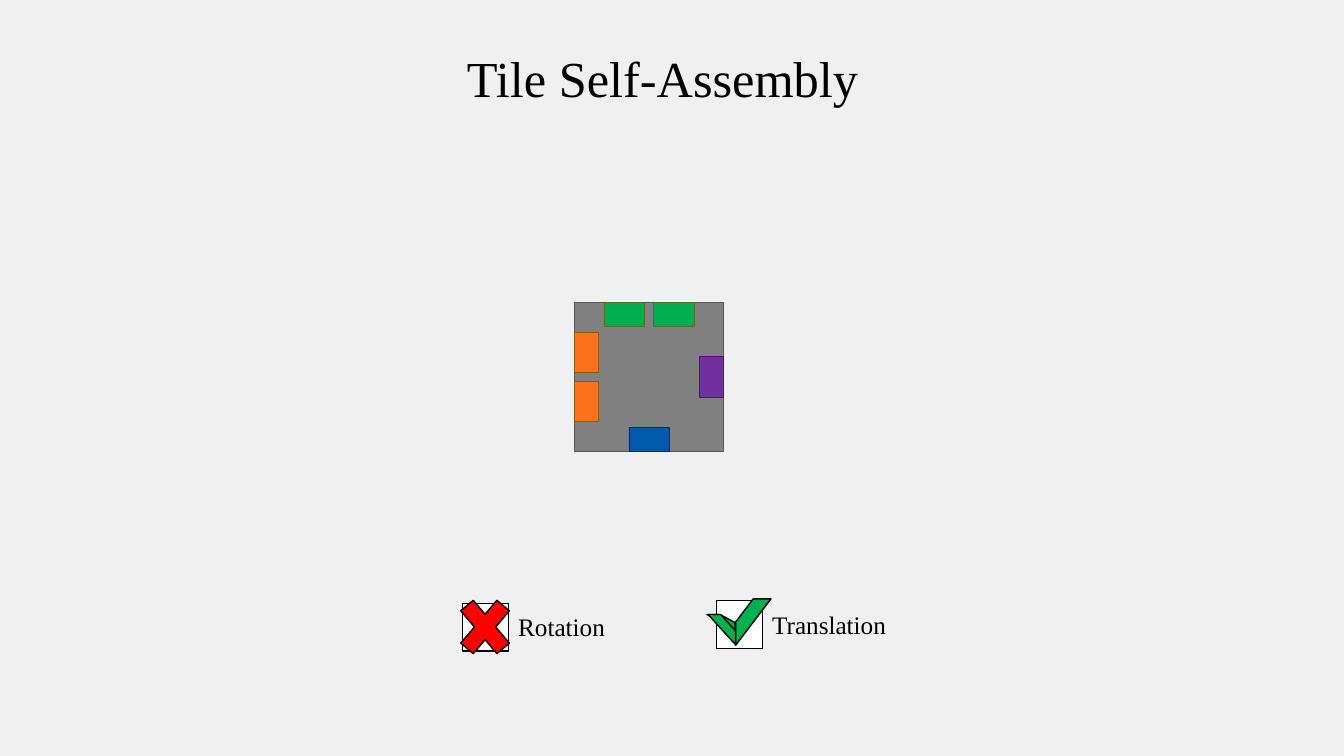
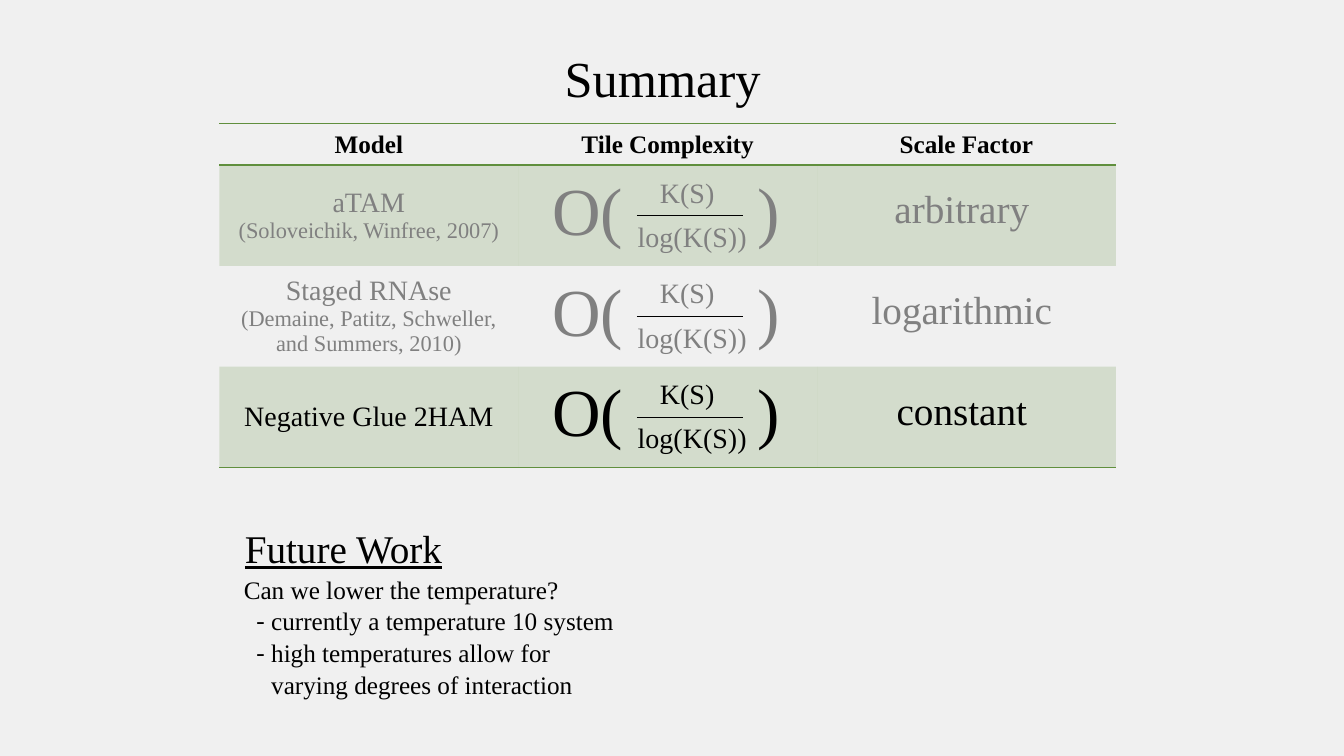
from pptx import Presentation
from pptx.dml.color import RGBColor
from pptx.enum.shapes import MSO_CONNECTOR, MSO_SHAPE as SHAPE
from pptx.enum.text import MSO_ANCHOR as ANCHOR, MSO_AUTO_SIZE as AUTO, PP_ALIGN as ALIGN
from pptx.oxml.ns import qn
from pptx.util import Cm, Pt
from lxml.etree import SubElement

FONT = "Times New Roman"
BACKGROUND, BLACK, WHITE, GRAY = "F0F0F0", "000000", "FFFFFF", "808080"
GREEN, RED, TABLE_GREEN = "00B050", "FF0000", "608F3D"
NO_TABLE_STYLE = "{2D5ABB26-0587-4C30-8999-92F81FD0307C}"

# Tile geometry in cm
TILE_LEFT, TILE_TOP, TILE = 14.48, 7.62, 3.76
GLUE_LONG, GLUE_THICK, GLUE_GAP = 1.02, 0.61, 0.22

# Table geometry in cm
TABLE_LEFT, TABLE_TOP, COLUMN = 5.53, 3.12, 7.53
HEADER_HEIGHT, ROW_HEIGHT = 1.04, 2.54

HEADERS = ["Model", "Tile Complexity", "Scale Factor"]
MODELS = [
    ("aTAM", "(Soloveichik, Winfree, 2007)", "arbitrary", GRAY),
    ("Staged RNAse", "(Demaine, Patitz, Schweller, and Summers, 2010)", "logarithmic", GRAY),
    ("Negative Glue 2HAM", None, "constant", BLACK),
]
QUESTION = "Can we lower the temperature?"
REMARKS = [
    "currently a temperature 10 system",
    "high temperatures allow for\vvarying degrees of interaction",
]


def set_fill(fill, color):
    fill.solid()
    fill.fore_color.rgb = RGBColor.from_string(color)


def format_runs(p, size, color=BLACK, **extra):
    values = {"name": FONT, "size": Pt(size), "bold": False, **extra}
    for r in p.runs:
        for name, value in values.items():
            setattr(r.font, name, value)
        r.font.color.rgb = RGBColor.from_string(color)


def place(sp, left, top, width, height):
    box = {"left": left, "top": top, "width": width, "height": height}
    for name, value in box.items():
        setattr(sp, name, Cm(value))


def add_slide(prs, layout, title):
    s = prs.slides.add_slide(prs.slide_layouts.get_by_name(layout))
    sp = s.shapes.title
    place(sp, 2.7, 1.04, 28, 1.8)
    tf = sp.text_frame
    tf.text = title
    tf.auto_size = AUTO.NONE
    tf.vertical_anchor = ANCHOR.MIDDLE
    tf.paragraphs[0].alignment = ALIGN.CENTER
    format_runs(tf.paragraphs[0], 36)
    return s


def add_label(shapes, box, text, size, color=BLACK, align=ALIGN.LEFT, **extra):
    sp = shapes.add_textbox(*map(Cm, box))
    tf = sp.text_frame
    tf.word_wrap = True
    p = tf.paragraphs[0]
    p.text = text
    p.alignment = align
    format_runs(p, size, color, **extra)
    return p


def add_figure(shapes, kind, box, fill, line=BLACK, weight=1, rotation=0):
    sp = shapes.add_shape(kind, *map(Cm, box))
    sp.shadow.inherit = False
    sp.rotation = rotation
    set_fill(sp.fill, fill)
    set_fill(sp.line.fill, line)
    sp.line.width = Pt(weight)
    return sp


def add_glues(shapes, side, count, fill, line):
    """Centre a row of glues along one side of the tile."""
    step = GLUE_LONG + GLUE_GAP
    start = (TILE - count * step + GLUE_GAP) / 2
    across = TILE - GLUE_THICK if side in ("right", "bottom") else 0
    for i in range(count):
        along = start + i * step
        if side in ("top", "bottom"):
            box = (TILE_LEFT + along, TILE_TOP + across, GLUE_LONG, GLUE_THICK)
        else:
            box = (TILE_LEFT + across, TILE_TOP + along, GLUE_THICK, GLUE_LONG)
        add_figure(shapes, SHAPE.RECTANGLE, box, fill, line, 0.5)


def add_tile(s):
    shapes = s.shapes.add_group_shape().shapes
    add_figure(shapes, SHAPE.RECTANGLE, (TILE_LEFT, TILE_TOP, TILE, TILE), GRAY, "595959", 0.5)
    for glue in [
        ("bottom", 1, "015AAB", "002A7E"),
        ("right", 1, "7030A0", "64018B"),
        ("left", 2, "FC711C", "8A5D02"),
        ("top", 2, GREEN, "536F1D"),
    ]:
        add_glues(shapes, *glue)


def add_checkbox(s, left, top, text):
    add_figure(s.shapes, SHAPE.RECTANGLE, (left, top, 1.15, 1.2), WHITE)
    add_label(s.shapes, (left + 1.15, top + 0.08, 3.6, 1.02), text, 18)


def add_check_mark(s):
    shapes = s.shapes.add_group_shape().shapes
    for box, rotation, cut in [
        ((17.98, 15.32, 0.38, 0.71), 90, 0.54),
        ((18.54, 15.09, 0.89, 1.17), 0, 0.5),
        ((17.81, 15.52, 0.76, 0.69), 90, 0.54),
    ]:
        stripe = add_figure(shapes, SHAPE.DIAGONAL_STRIPE, box, GREEN, rotation=rotation)
        stripe.adjustments[0] = cut


def add_border(cell, edge):
    ln = SubElement(cell._tc.get_or_add_tcPr(), qn(f"a:{edge}"), w=str(Pt(1)))
    fill = SubElement(ln, qn("a:solidFill"))
    SubElement(fill, qn("a:srgbClr"), val=TABLE_GREEN)


def style_cell(cell, row):
    """Rule the header and last row, and tint every other model row."""
    cell.vertical_anchor = ANCHOR.MIDDLE
    if row == 0:
        add_border(cell, "lnT")
    if row in (0, len(MODELS)):
        add_border(cell, "lnB")
    if row % 2:
        set_fill(cell.fill, TABLE_GREEN)
        clr = next(cell._tc.tcPr.iterchildren(qn("a:solidFill")))[0]
        SubElement(clr, qn("a:alpha"), val="20000")
    else:
        cell.fill.background()


def write_cell(cell, lines, color=BLACK, **extra):
    tf = cell.text_frame
    tf.text = "\n".join(text for text, _ in lines)
    for p, (_, size) in zip(tf.paragraphs, lines):
        p.alignment = ALIGN.CENTER
        format_runs(p, size, color, **extra)


def add_model_table(s):
    box = (TABLE_LEFT, TABLE_TOP, COLUMN * len(HEADERS), HEADER_HEIGHT + ROW_HEIGHT * len(MODELS))
    table = s.shapes.add_table(len(MODELS) + 1, len(HEADERS), *map(Cm, box)).table
    table.first_row = table.horz_banding = False
    table._tbl.tblPr.find(qn("a:tableStyleId")).text = NO_TABLE_STYLE
    for i, row in enumerate(table.rows):
        row.height = Cm(ROW_HEIGHT if i else HEADER_HEIGHT)
        for cell in row.cells:
            style_cell(cell, i)
    for column, header in enumerate(HEADERS):
        write_cell(table.cell(0, column), [(header, 18)], bold=True)
    for i, (model, citation, _, color) in enumerate(MODELS, 1):
        lines = [(model, 20)] + ([(citation, 16)] if citation else [])
        write_cell(table.cell(i, 0), lines, color)


def add_complexity(s, top, color):
    """Set O( K(S) / log(K(S)) ) in a table row."""
    shapes = s.shapes.add_group_shape().shapes
    add_label(shapes, (15.82, top + 1.24, 4.55, 1.12), "log(K(S))", 20, color)
    middle = top + ROW_HEIGHT / 2
    bar = shapes.add_connector(MSO_CONNECTOR.STRAIGHT, *map(Cm, (16.05, middle, 18.72, middle)))
    SubElement(bar._element.spPr, qn("a:effectLst"))
    set_fill(bar.line.fill, BLACK)
    bar.line.width = Pt(0.5)
    add_label(shapes, (16.38, top + 0.13, 3.1, 1.12), "K(S)", 20, color)
    p = add_label(shapes, (13.67, top - 0.05, 6.5, 2.31), "O(\t)", 48, color)
    tabs = SubElement(p._p.get_or_add_pPr(), qn("a:tabLst"))
    SubElement(tabs, qn("a:tab"), pos=str(Cm(5.17)), algn="l")


def set_bullet(p, char=None):
    pPr = p._p.get_or_add_pPr()
    pPr.set("marL", str(Cm(0.69) if char else 0))
    pPr.set("indent", str(Cm(-0.37) if char else 0))
    if char:
        SubElement(pPr, qn("a:buFont"), typeface=FONT)
        SubElement(pPr, qn("a:buChar"), char=char)
    else:
        SubElement(pPr, qn("a:buNone"))


def add_future_work(s):
    add_label(s.shapes, (5.92, 13.08, 6, 1.45), "Future Work", 28, underline=True)
    body = s.placeholders[1]
    place(body, 5.89, 14.3, 11, 3.4)
    tf = body.text_frame
    tf.auto_size = AUTO.NONE
    tf.text = "\n".join([QUESTION])
    for remark in REMARKS:
        tf.add_paragraph().text = remark
    for i, p in enumerate(tf.paragraphs):
        set_bullet(p, "-" if i else None)
        p.space_before = Pt(0)
        p.line_spacing = 1.05
        format_runs(p, 18)


def build_assembly(prs):
    s = add_slide(prs, "Title Only", "Tile Self-Assembly")
    add_checkbox(s, 18.06, 15.14, "Translation")
    add_checkbox(s, 11.66, 15.21, "Rotation")
    add_figure(s.shapes, SHAPE.MATH_MULTIPLY, (11.35, 14.76, 1.75, 2.08), RED)
    add_check_mark(s)
    add_tile(s)


def build_summary(prs):
    s = add_slide(prs, "Title and Content", "Summary")
    add_future_work(s)
    add_model_table(s)
    for i, (_, _, scale, color) in enumerate(MODELS):
        top = TABLE_TOP + HEADER_HEIGHT + i * ROW_HEIGHT
        add_complexity(s, top, color)
        add_label(s.shapes, (21.2, top + 0.37, 6.08, 1.45), scale, 28, color, ALIGN.CENTER)


def main():
    prs = Presentation()
    prs.slide_width, prs.slide_height = Cm(33.87), Cm(19.05)
    set_fill(prs.slide_master.background.fill, BACKGROUND)
    build_assembly(prs)
    build_summary(prs)
    prs.save("out.pptx")


if __name__ == "__main__":
    main()
